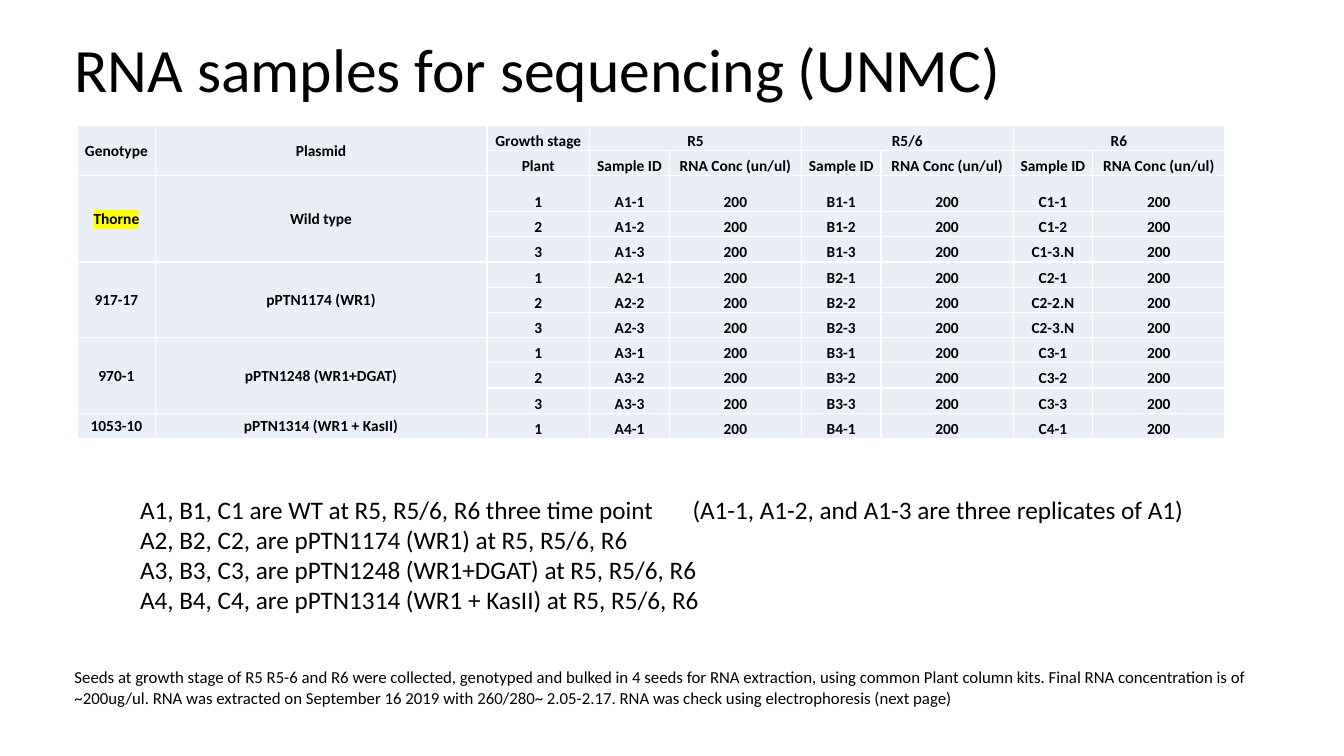
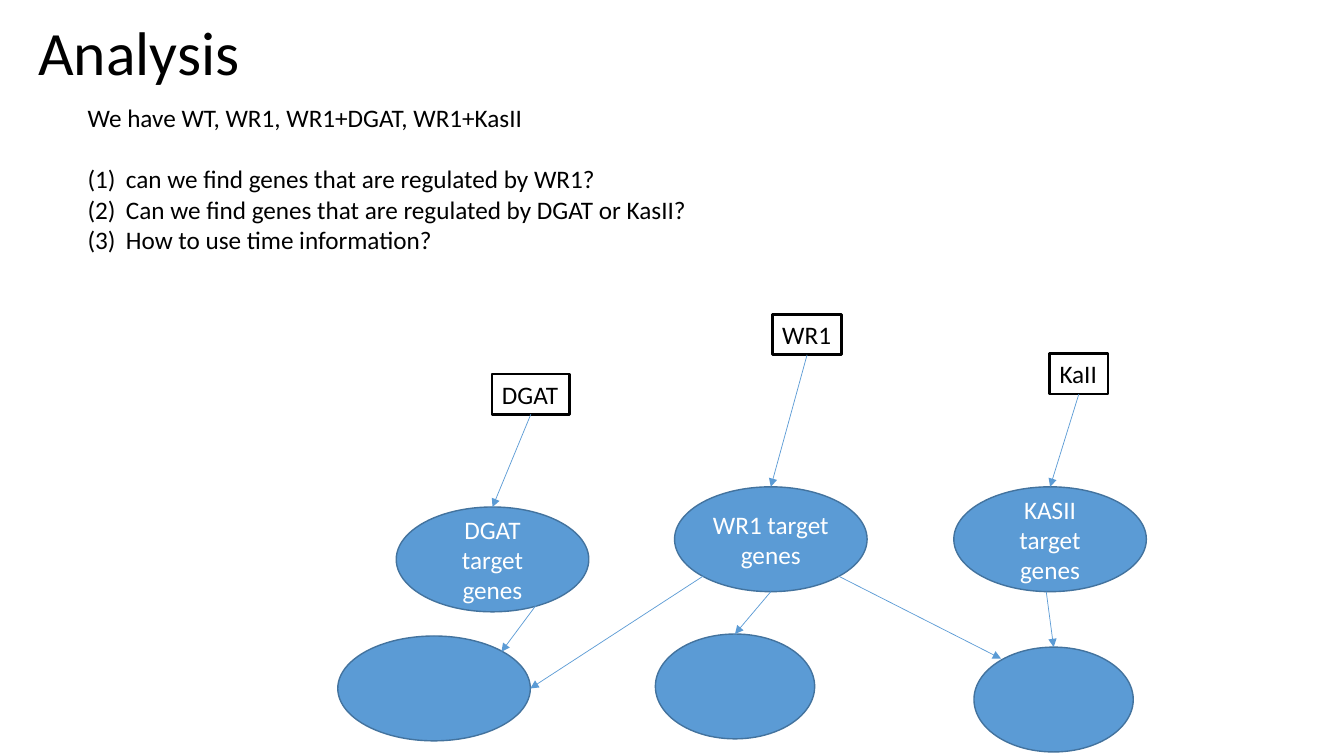
from lxml import etree
from pptx import Presentation
from pptx.dml.color import RGBColor
from pptx.enum import shapes, text
from pptx.oxml import ns
from pptx.util import Inches, Pt

BLACK = RGBColor(0, 0, 0)
WHITE = RGBColor(255, 255, 255)
PALE = RGBColor(0xEA, 0xEF, 0xF7)
BLUE = RGBColor(0x5B, 0x9B, 0xD5)
NAVY = RGBColor(0x43, 0x73, 0x9E)
YELLOW = RGBColor(255, 255, 0)
FONT = "Calibri"
MIDDLE = text.MSO_ANCHOR.MIDDLE
BOTTOM = text.MSO_ANCHOR.BOTTOM
CENTER = text.PP_ALIGN.CENTER

# Samples: genotype, plasmid, number of plants
GENES = [
    ("Thorne", "Wild type", 3),
    ("917-17", "pPTN1174 (WR1)", 3),
    ("970-1", "pPTN1248 (WR1+DGAT)", 3),
    ("1053-10", "pPTN1314 (WR1 + KasII)", 1),
]
STAGES = [("A", "R5"), ("B", "R5/6"), ("C", "R6")]
RENEWED = {"C1-3", "C2-2", "C2-3"}
CONC = "200"
COLS = [0.77, 3.29, 1.02] + [0.79, 1.31] * len(STAGES)
ROW, TALL = 0.25, 0.36

KEY = [
    "A1, B1, C1 are WT at R5, R5/6, R6 three time point"
    "\t(A1-1, A1-2, and A1-3 are three replicates of A1)",
    "A2, B2, C2, are pPTN1174 (WR1) at R5, R5/6, R6",
    "A3, B3, C3, are pPTN1248 (WR1+DGAT) at R5, R5/6, R6",
    "A4, B4, C4, are pPTN1314 (WR1 + KasII) at R5, R5/6, R6",
]
METHOD = (
    "Seeds at growth stage of R5 R5-6 and R6 were collected, genotyped and "
    "bulked in 4 seeds for RNA extraction, using common Plant column kits. "
    "Final RNA concentration is of ~200ug/ul. RNA was extracted on September "
    "16 2019 with 260/280~ 2.05-2.17. RNA was check using electrophoresis "
    "(next page)"
)

INTRO = "We have WT, WR1, WR1+DGAT, WR1+KasII"
ASKS = [
    "can we find genes that are regulated by WR1?",
    "Can we find genes that are regulated by DGAT or KasII?",
    "How to use time information?",
]

# Network: name -> (words, left, top, width, height)
LABELS = {
    "wr1": ("WR1", 7.66, 3.12, 0.69, 0.4),
    "dgat": ("DGAT", 4.88, 3.71, 0.77, 0.4),
    "kas": ("KaII", 10.41, 3.51, 0.58, 0.4),
}
OVALS = {
    "wr1 set": ("WR1 target genes", 6.69, 4.83, 1.91, 1.04),
    "dgat set": ("DGAT target genes", 3.93, 5.03, 1.91, 1.04),
    "kas set": ("KASII target genes", 9.46, 4.83, 1.91, 1.04),
    "left": ("", 3.35, 6.31, 1.91, 1.04),
    "mid": ("", 6.5, 6.29, 1.58, 1.04),
    "right": ("", 9.66, 6.42, 1.58, 1.04),
}
# Each end: node, then share of its width and height
TOP, FOOT, EAST = (0.5, 0), (0.5, 1), (1, 0.5)
ARROWS = [
    ("wr1", FOOT, "wr1 set", TOP),
    ("dgat", FOOT, "dgat set", TOP),
    ("kas", FOOT, "kas set", TOP),
    ("dgat set", (0.81, 0.73), "left", (0.85, 0.15)),
    ("wr1 set", (0.15, 0.85), "left", EAST),
    ("wr1 set", FOOT, "mid", TOP),
    ("wr1 set", (0.85, 0.85), "right", (0.17, 0.11)),
    ("kas set", (0.48, 1), "right", TOP),
]


def child(node, tag, **attrs):
    return etree.SubElement(node, ns.qn(tag), attrs)


def write(para, words, size, color=BLACK, bold=False):
    run = para.add_run()
    run.text = words
    font = run.font
    font.size, font.name, font.bold = Pt(size), FONT, bold
    font.color.rgb = color
    return run


def add_text(slide, box, lines, size, wrap=True):
    shape = slide.shapes.add_textbox(*map(Inches, box))
    frame = shape.text_frame
    frame.word_wrap = wrap
    for i, line in enumerate(lines):
        para = frame.add_paragraph() if i else frame.paragraphs[0]
        write(para, line, size)
    return shape


def add_title(slide, words, box):
    frame = add_text(slide, box, [words], 44).text_frame
    frame.vertical_anchor = MIDDLE
    frame.paragraphs[0].line_spacing = 0.9


def fill_cell(cell, words, anchor):
    cell.fill.solid()
    cell.fill.fore_color.rgb = PALE
    cell.vertical_anchor = anchor
    cell.margin_left = cell.margin_right = cell.margin_top = Inches(0.01)
    cell.margin_bottom = 0
    para = cell.text_frame.paragraphs[0]
    para.alignment = CENTER
    run = write(para, words, 11, bold=True)
    props = cell._tc.get_or_add_tcPr()
    for i, side in enumerate(("a:lnL", "a:lnR", "a:lnT", "a:lnB")):
        line = etree.Element(ns.qn(side), w=str(Pt(1)))
        child(child(line, "a:solidFill"), "a:srgbClr", val=str(WHITE))
        props.insert(i, line)
    return run


def mark(run):
    """Highlight a run in yellow."""
    light = etree.Element(ns.qn("a:highlight"))
    child(light, "a:srgbClr", val=str(YELLOW))
    run.font._element.find(ns.qn("a:solidFill")).addnext(light)


def table_rows():
    """Give the cell words row by row, and the merged areas."""
    head = ["Genotype", "Plasmid", "Growth stage"]
    under = ["", "", "Plant"]
    spans = [(0, 0, 1, 0), (0, 1, 1, 1)]
    for _, stage in STAGES:
        spans.append((0, len(head), 0, len(head) + 1))
        head += [stage, ""]
        under += ["Sample ID", "RNA Conc (un/ul)"]
    rows = [head, under]
    for g, (gene, plasmid, count) in enumerate(GENES, 1):
        first = len(rows)
        if count > 1:
            spans += [(first, c, first + count - 1, c) for c in (0, 1)]
        for plant in range(1, count + 1):
            row = [gene, plasmid] if plant == 1 else ["", ""]
            row.append(str(plant))
            for letter, _ in STAGES:
                name = f"{letter}{g}-{plant}"
                row += [name + ".N" * (name in RENEWED), CONC]
            rows.append(row)
    return rows, spans


def add_samples(slide):
    rows, spans = table_rows()
    highs = [ROW] * len(rows)
    highs[2] = TALL
    box = (0.77, 1.24, sum(COLS), sum(highs))
    table = slide.shapes.add_table(
        len(rows), len(COLS), *map(Inches, box)).table
    table.first_row = table.horz_banding = False
    for col, width in zip(table.columns, COLS):
        col.width = Inches(width)
    for row, high in zip(table.rows, highs):
        row.height = Inches(high)
    for r, row in enumerate(rows):
        for c, words in enumerate(row):
            run = fill_cell(table.cell(r, c), words, MIDDLE if c < 2 else BOTTOM)
            if words == GENES[0][0]:
                mark(run)
    for r, c, last, end in spans:
        table.cell(r, c).merge(table.cell(last, end))


def add_oval(slide, words, *box):
    oval = slide.shapes.add_shape(
        shapes.MSO_SHAPE.OVAL, *map(Inches, box))
    oval.shadow.inherit = False
    oval.fill.solid()
    oval.fill.fore_color.rgb = BLUE
    oval.line.color.rgb = NAVY
    oval.line.width = Pt(1)
    if words:
        frame = oval.text_frame
        frame.word_wrap = True
        frame.vertical_anchor = MIDDLE
        frame.paragraphs[0].alignment = CENTER
        write(frame.paragraphs[0], words, 18, WHITE)


def add_label(slide, words, *box):
    label = add_text(slide, box, [words], 18, wrap=False)
    label.line.color.rgb = BLACK
    label.line.width = Pt(2)


def spot(name, share):
    """Find the point at a share of a node's width and height."""
    _, left, top, width, high = (LABELS | OVALS)[name]
    return Inches(left + share[0] * width), Inches(top + share[1] * high)


def add_arrow(slide, start, out, end, into):
    arrow = slide.shapes.add_connector(
        shapes.MSO_CONNECTOR.STRAIGHT, *spot(start, out), *spot(end, into))
    arrow.line.color.rgb = BLUE
    arrow.line.width = Pt(0.5)
    child(arrow.line._get_or_add_ln(), "a:tailEnd", type="triangle")
    child(arrow._element.spPr, "a:effectLst")


def sample_slide(slide):
    add_samples(slide)
    add_title(slide, "RNA samples for sequencing (UNMC)", (0.64, 0.2, 11.5, 1.04))
    add_text(slide, (0.64, 6.57, 12.02, 0.5), [METHOD], 12)
    key = add_text(slide, (1.29, 4.85, 11.01, 1.31), KEY, 18)
    props = key.text_frame.paragraphs[0]._p.get_or_add_pPr()
    child(child(props, "a:tabLst"), "a:tab", pos=str(Inches(5.48)), algn="l")


def analysis_slide(slide):
    add_title(slide, "Analysis", (0.28, 0.16, 11.5, 0.78))
    body = add_text(slide, (0.77, 0.97, 11.01, 2.52), [INTRO] + ASKS, 18)
    asks = body.text_frame.paragraphs[1:]
    asks[0].space_before = Pt(22)
    for para in asks:
        props = para._p.get_or_add_pPr()
        props.set("marL", str(Inches(0.38)))
        props.set("indent", str(Inches(-0.38)))
        child(props, "a:buFont", typeface="+mj-lt")
        child(props, "a:buAutoNum", type="arabicParenBoth")
    for oval in OVALS.values():
        add_oval(slide, *oval)
    for label in LABELS.values():
        add_label(slide, *label)
    for arrow in ARROWS:
        add_arrow(slide, *arrow)


def main():
    deck = Presentation()
    deck.slide_width, deck.slide_height = Inches(13.33), Inches(7.5)
    for build in (sample_slide, analysis_slide):
        build(deck.slides.add_slide(deck.slide_layouts[6]))
    deck.save("out.pptx")


if __name__ == "__main__":
    main()
